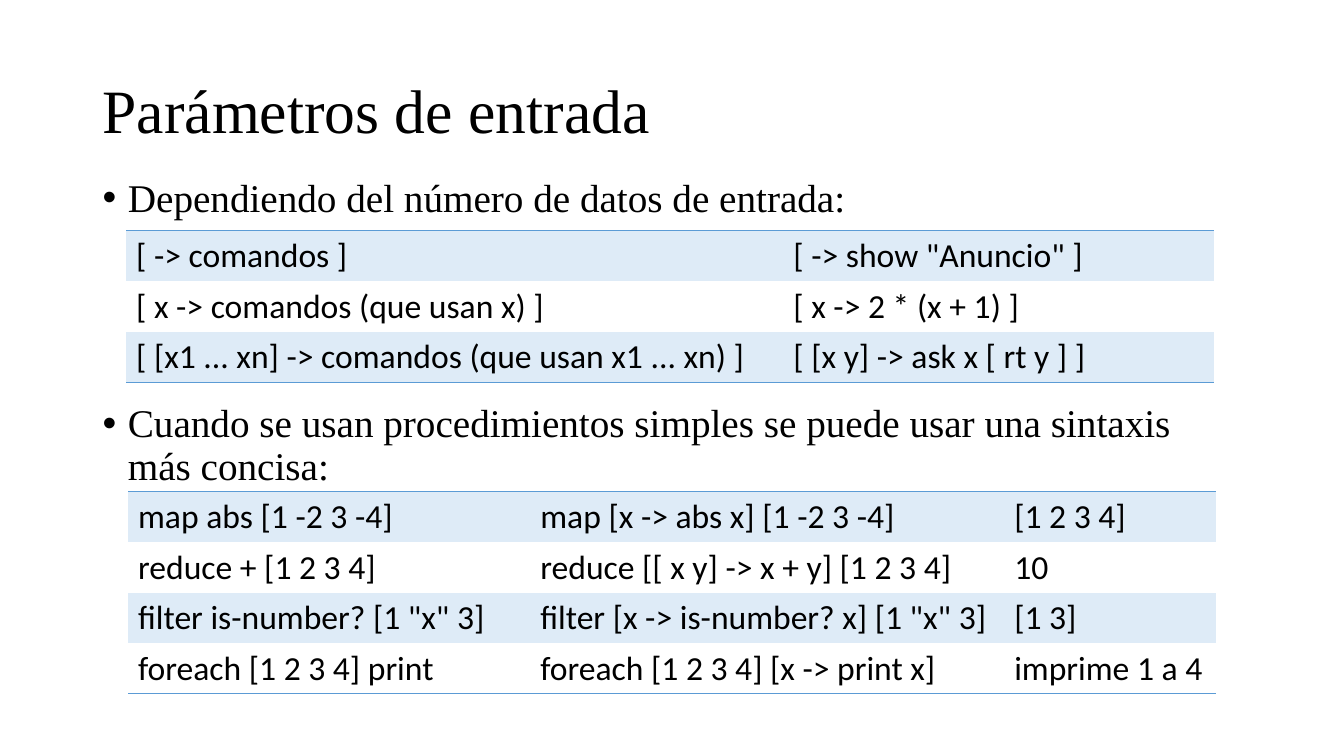
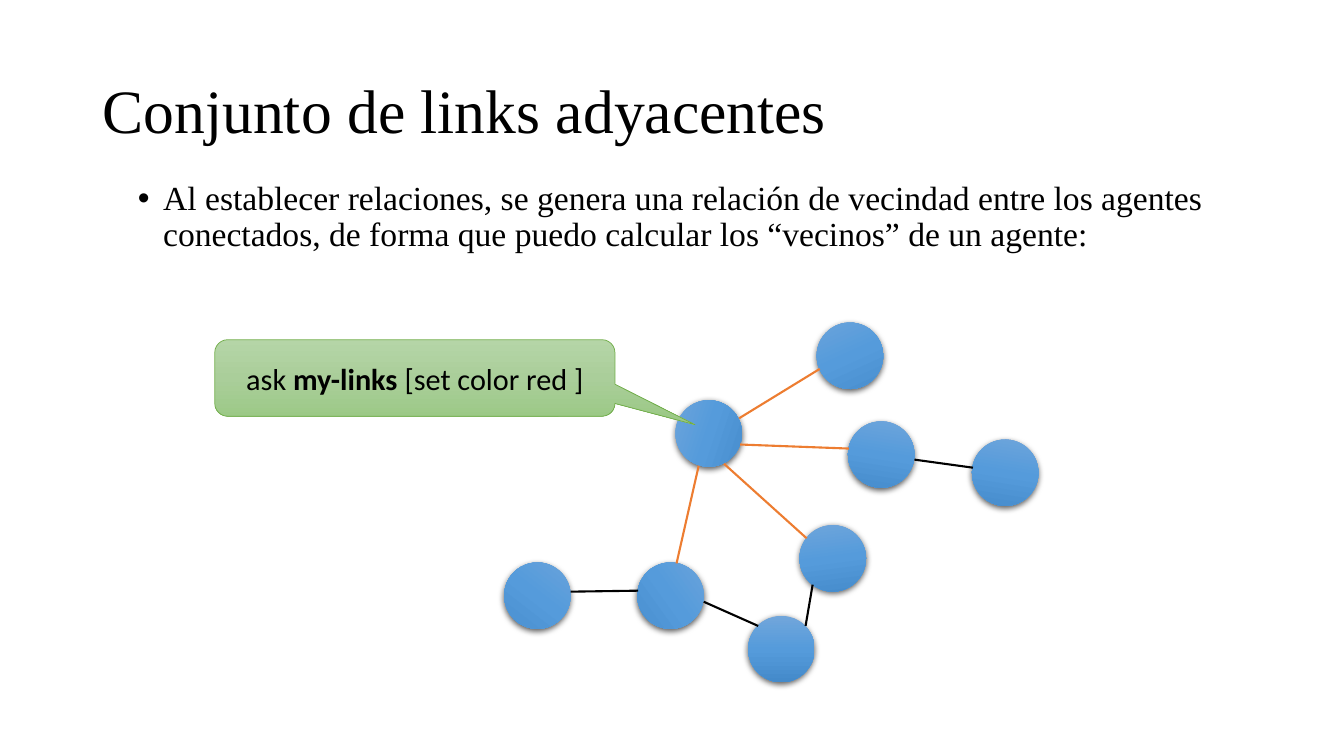
from dataclasses import dataclass

from lxml import etree
from pptx import Presentation
from pptx.dml.color import RGBColor
from pptx.enum.shapes import MSO_CONNECTOR, MSO_SHAPE
from pptx.enum.text import MSO_ANCHOR, PP_ALIGN
from pptx.oxml import parse_xml
from pptx.oxml.ns import nsdecls, qn
from pptx.util import Inches, Pt

LINE = MSO_CONNECTOR.STRAIGHT
OVAL, CALLOUT = MSO_SHAPE.OVAL, MSO_SHAPE.ROUNDED_RECTANGULAR_CALLOUT
TOP, MIDDLE = MSO_ANCHOR.TOP, MSO_ANCHOR.MIDDLE
LEFT, CENTER = PP_ALIGN.LEFT, PP_ALIGN.CENTER
PLAIN_TABLE = "{2D5ABB26-0587-4C30-8999-92F81FD0307C}"


@dataclass(frozen=True)
class Theme:
    black: str = "000000"
    rule: str = "5B9BD5"
    band: str = "DEEBF7"
    own_link: str = "ED7D31"
    callout_line: str = "70AD47"
    node_fill: tuple = ("71A6DB", "559BDB", "448ACA")
    callout_fill: tuple = ("B5D5A7", "AACE9A", "9CC987")
    serif: str = "Times New Roman"
    sans: str = "Calibri"
    title_size: float = 44
    body_size: float = 28
    small_body_size: float = 24
    table_size: float = 24
    callout_size: float = 21.6


class Deck:
    def __init__(self, theme):
        self.theme = theme
        self.prs = Presentation()
        self.prs.slide_width, self.prs.slide_height = Inches(13.33), Inches(7.5)
        self.s = None

    def slide(self, title):
        self.s = self.prs.slides.add_slide(self.prs.slide_layouts[6])
        self.text(title, (0.92, 0.4, 11.5, 1.45), self.theme.title_size, MIDDLE)

    def run(self, p, text, font, size, bold=False):
        r = p.add_run()
        r.text = text
        for name, value in {"name": font, "size": Pt(size), "bold": bold}.items():
            setattr(r.font, name, value)
        r.font.color.rgb = RGBColor.from_string(self.theme.black)

    def text(self, text, box, size, anchor=TOP, bullet=False):
        tf = self.s.shapes.add_textbox(*map(Inches, box)).text_frame
        for name, value in {"word_wrap": True, "vertical_anchor": anchor}.items():
            setattr(tf, name, value)
        p = tf.paragraphs[0]
        if bullet:
            pPr = p._p.get_or_add_pPr()
            pPr.set("marL", str(Inches(0.25)))
            pPr.set("indent", str(Inches(-0.25)))
            etree.SubElement(pPr, qn("a:buFont")).set("typeface", "Arial")
            etree.SubElement(pPr, qn("a:buChar")).set("char", "•")
        p.alignment, p.line_spacing = LEFT, 0.9
        self.run(p, text, self.theme.serif, size)

    def bullet(self, text, box, size):
        self.text(text, box, size, bullet=True)

    def table(self, left, top, widths, rows, row_height=0.5):
        """Banded table with a rule above its first row and below its last."""
        frame = self.s.shapes.add_table(
            len(rows), len(widths), Inches(left), Inches(top),
            Inches(sum(widths)), Inches(row_height * len(rows)))
        table = frame.table
        table.first_row = table.horz_banding = False
        table._tbl.tblPr.find(qn("a:tableStyleId")).text = PLAIN_TABLE
        for column, width in zip(table.columns, widths):
            column.width = Inches(width)
        for i, row in enumerate(rows):
            for j, text in enumerate(row):
                cell = table.cell(i, j)
                self.run(cell.text_frame.paragraphs[0], text,
                         self.theme.sans, self.theme.table_size)
                if i == 0:
                    self.cell_rule(cell, "lnT")
                if i == len(rows) - 1:
                    self.cell_rule(cell, "lnB")
                if i % 2:
                    cell.fill.background()
                else:
                    cell.fill.solid()
                    cell.fill.fore_color.rgb = RGBColor.from_string(self.theme.band)

    def cell_rule(self, cell, side):
        cell._tc.get_or_add_tcPr().append(parse_xml(
            f'<a:{side} {nsdecls("a")} w="{Pt(1)}"><a:solidFill>'
            f'<a:srgbClr val="{self.theme.rule}"/></a:solidFill></a:{side}>'))

    def shape(self, kind, box, colors):
        """Preset shape with an even, top-down gradient and no shadow."""
        sp = self.s.shapes.add_shape(kind, *map(Inches, box))
        step = 100000 // (len(colors) - 1)
        stops = "".join(f'<a:gs pos="{i * step}"><a:srgbClr val="{c}"/></a:gs>'
                        for i, c in enumerate(colors))
        sp._element.spPr.find(qn("a:prstGeom")).addnext(parse_xml(
            f'<a:gradFill {nsdecls("a")} rotWithShape="1"><a:gsLst>{stops}</a:gsLst>'
            '<a:lin ang="5400000" scaled="0"/></a:gradFill>'))
        sp.shadow.inherit = False
        return sp

    def node(self, left, top, rotation, size=0.66):
        sp = self.shape(OVAL, (left, top, size, size), self.theme.node_fill)
        sp.rotation = rotation
        sp.line.fill.background()
        sp._element.spPr.find(qn("a:effectLst")).append(parse_xml(
            f'<a:outerShdw {nsdecls("a")} blurRad="{Pt(4.5)}" dist="{Pt(1.5)}" '
            'dir="5400000" algn="ctr" rotWithShape="0">'
            f'<a:srgbClr val="{self.theme.black}"><a:alpha val="63000"/></a:srgbClr>'
            '</a:outerShdw>'))

    def link(self, ends, color):
        cxn = self.s.shapes.add_connector(LINE, *map(Inches, ends))
        cxn.line.color.rgb = RGBColor.from_string(color)
        cxn.line.width = Pt(1.5)
        etree.SubElement(cxn._element.spPr, qn("a:effectLst"))

    def callout(self, box, adjustments, runs):
        sp = self.shape(CALLOUT, box, self.theme.callout_fill)
        for i, value in enumerate(adjustments):
            sp.adjustments[i] = value
        sp.line.color.rgb = RGBColor.from_string(self.theme.callout_line)
        sp.line.width = Pt(0.5)
        tf = sp.text_frame
        tf.word_wrap, tf.vertical_anchor = True, MIDDLE
        p = tf.paragraphs[0]
        p.alignment = CENTER
        for text, bold in runs:
            self.run(p, text, self.theme.sans, self.theme.callout_size, bold)


def input_parameters(deck):
    size = deck.theme.body_size
    deck.slide("Parámetros de entrada")
    deck.bullet("Dependiendo del número de datos de entrada:",
                (0.92, 1.72, 11.5, 0.5), size)
    deck.table(1.25, 2.29, (6.52, 4.27), [
        ("[ -> comandos ]", '[ -> show "Anuncio" ]'),
        ("[ x -> comandos (que usan x) ]", "[ x -> 2 * (x + 1) ]"),
        ("[ [x1 ... xn] -> comandos (que usan x1 ... xn) ]",
         "[ [x y] -> ask x [ rt y ] ]"),
    ])
    deck.bullet("Cuando se usan procedimientos simples se puede usar una "
                "sintaxis más concisa:", (0.92, 3.96, 11.5, 0.9), size)
    deck.table(1.27, 4.88, (3.99, 4.7, 2.1), [
        ("map abs [1 -2 3 -4]", "map [x -> abs x] [1 -2 3 -4]", "[1 2 3 4]"),
        ("reduce + [1 2 3 4]", "reduce [[ x y] -> x + y] [1 2 3 4]", "10"),
        ('filter is-number? [1 "x" 3]', 'filter [x -> is-number? x] [1 "x" 3]',
         "[1 3]"),
        ("foreach [1 2 3 4] print", "foreach [1 2 3 4] [x -> print x]",
         "imprime 1 a 4"),
    ])


def adjacent_links(deck):
    theme = deck.theme
    deck.slide("Conjunto de links adyacentes")
    deck.bullet("Al establecer relaciones, se genera una relación de vecindad entre "
                "los agentes conectados, de forma que puedo calcular los “vecinos” "
                "de un agente:", (1.27, 1.75, 10.8, 1.15), theme.small_body_size)
    nodes = [
        (6.7, 3.97, 288.4), (8.41, 4.18, 9), (8.1, 3.2, 335.5), (7.93, 5.21, 352.6),
        (6.32, 5.58, 54.4), (5, 5.58, 37.8), (7.42, 6.11, 0), (9.64, 4.36, 9),
    ]
    for node in nodes:
        deck.node(*node)
    links = {
        theme.own_link: [(7.34, 4.41, 8.42, 4.45), (7.33, 4.15, 8.13, 3.66),
                         (7.18, 4.6, 8, 5.34), (6.93, 4.62, 6.71, 5.59)],
        theme.black: [(7.52, 6.21, 6.98, 5.97), (6.33, 5.86, 5.66, 5.87),
                      (7.99, 6.21, 8.06, 5.8), (9.07, 4.56, 9.65, 4.64)],
    }
    for color, group in links.items():
        for ends in group:
            deck.link(ends, color)
    deck.callout((2.13, 3.37, 3.97, 0.76), (0.7, 0.61, 0.17),
                 [("ask ", False), ("my-links", True), (" [set color red ]", False)])


def main():
    deck = Deck(Theme())
    input_parameters(deck)
    adjacent_links(deck)
    deck.prs.save("out.pptx")


if __name__ == "__main__":
    main()
